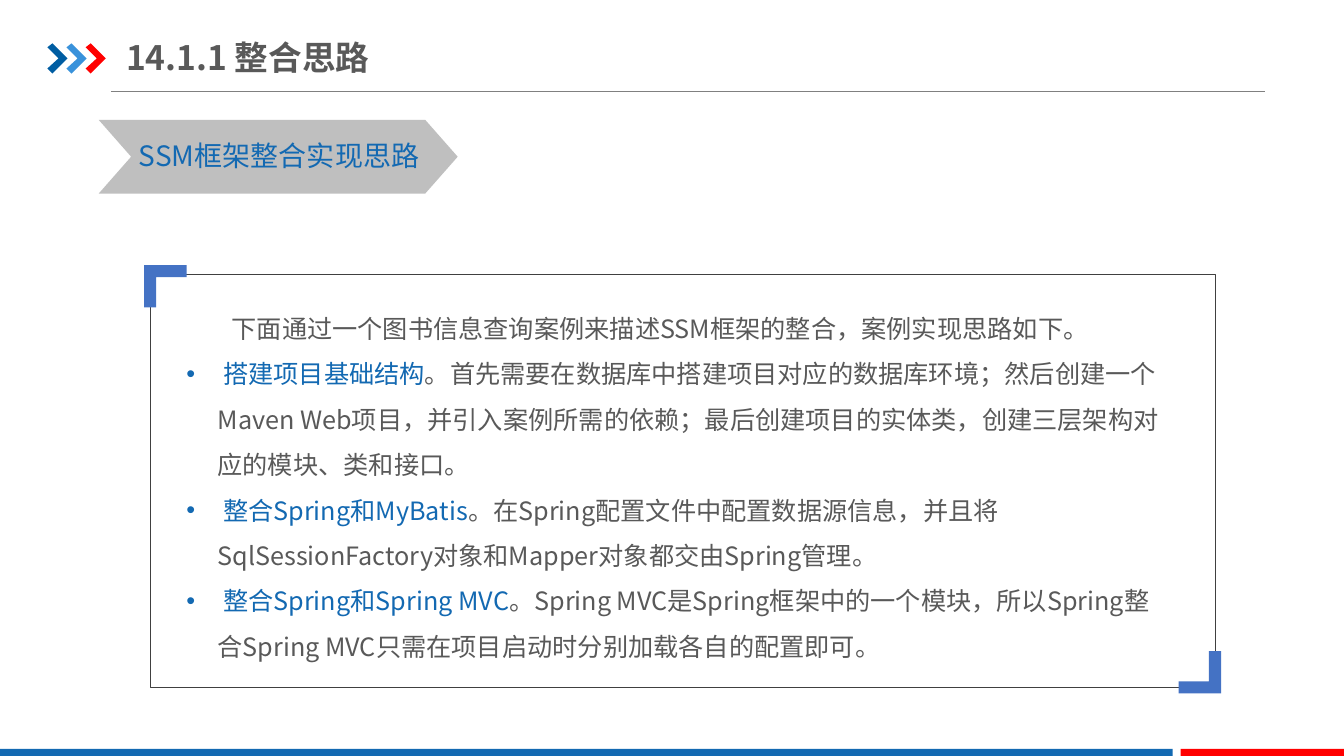
from lxml import etree
from pptx import Presentation
from pptx.dml.color import RGBColor
from pptx.enum.shapes import MSO_CONNECTOR as CONN, MSO_SHAPE as SHAPE
from pptx.enum.text import MSO_ANCHOR as ANCHOR
from pptx.oxml.ns import qn
from pptx.util import Pt

PX = 9144
FONT = "Noto Sans CJK SC"
BLUE = RGBColor(0x13, 0x69, 0xB2)
NAVY = RGBColor(0x00, 0x5D, 0xA2)
SKY = RGBColor(0x39, 0x92, 0xDB)
RED = RGBColor(0xFF, 0x00, 0x00)
CORNER = RGBColor(0x44, 0x72, 0xC4)
SILVER = RGBColor(0xBF, 0xBF, 0xBF)
GRAY = RGBColor(0x80, 0x80, 0x80)
DARK = RGBColor(0x40, 0x40, 0x40)
TEXT = RGBColor(0x59, 0x59, 0x59)

INTRO = "下面通过一个图书信息查询案例来描述SSM框架的整合，案例实现思路如下。"
STEPS = [
    ("搭建项目基础结构",
     "。首先需要在数据库中搭建项目对应的数据库环境；然后创建一个Maven Web项目，"
     "并引入案例所需的依赖；最后创建项目的实体类，创建三层架构对应的模块、类和接口。"),
    ("整合Spring和MyBatis",
     "。在Spring配置文件中配置数据源信息，并且将SqlSessionFactory对象和Mapper对象都交由Spring管理。"),
    ("整合Spring和Spring MVC",
     "。Spring MVC是Spring框架中的一个模块，所以Spring整合Spring MVC只需在项目启动时分别加载各自的配置即可。"),
]


def emu(*lengths):
    return [n * PX for n in lengths]


def paint(sp, fill=None, line=None, width=0.25):
    sp.shadow.inherit = False
    if fill is None:
        sp.fill.background()
    else:
        sp.fill.solid()
        sp.fill.fore_color.rgb = fill
    if line is None:
        sp.line.fill.background()
    else:
        sp.line.color.rgb = line
        sp.line.width = Pt(width)
    return sp


def add_box(s, kind, box, fill=None, line=None):
    return paint(s.shapes.add_shape(kind, *emu(*box)), fill, line)


def add_outline(s, points, fill):
    builder = s.shapes.build_freeform(*points[0], scale=PX)
    builder.add_line_segments(points[1:], close=True)
    paint(builder.convert_to_shape(), fill)


def add_text_frame(s, box, margins, anchor=ANCHOR.TOP):
    tf = s.shapes.add_textbox(*emu(*box)).text_frame
    across, down = emu(*margins)
    values = {"word_wrap": True, "vertical_anchor": anchor,
              "margin_left": across, "margin_right": across,
              "margin_top": down, "margin_bottom": down}
    for name, value in values.items():
        setattr(tf, name, value)
    return tf


def add_run(p, text, size, color, bold=False):
    r = p.add_run()
    r.text = text
    for name, value in {"size": Pt(size), "name": FONT, "bold": bold}.items():
        setattr(r.font, name, value)
    r.font.color.rgb = color
    etree.SubElement(r._r.get_or_add_rPr(), qn("a:ea")).set("typeface", FONT)


def set_indent(p, left, first, bullet=None):
    pPr = p._p.get_or_add_pPr()
    pPr.set("marL", str(left * PX))
    pPr.set("indent", str(first * PX))
    if bullet:
        etree.SubElement(pPr, qn("a:buFont")).set("typeface", "Arial")
        etree.SubElement(pPr, qn("a:buChar")).set("char", bullet)


def add_header(s, x, y, w, h):
    rule = s.shapes.add_connector(CONN.STRAIGHT, *emu(x + 63, y + h, x + w, y + h))
    rule.line.color.rgb = GRAY
    rule.line.width = Pt(0.5)
    etree.SubElement(rule._element.spPr, qn("a:effectLst"))
    arrow = [(0, 4), (5, 0), (20, 15), (5, 30), (0, 25), (11, 15)]
    for i, color in enumerate((NAVY, SKY, RED)):
        add_outline(s, [(x + 19 * i + dx, y + 14 + dy) for dx, dy in arrow], color)
    tf = add_text_frame(s, (x + 78, y, 299, 55), (0, 7), ANCHOR.MIDDLE)
    add_run(tf.paragraphs[0], "14.1.1 整合思路", 24, TEXT, True)


def add_footer(s, x, y, w, h):
    split, gap = 1163, 8
    add_box(s, SHAPE.RECTANGLE, (x, y, split, h), BLUE)
    add_box(s, SHAPE.RECTANGLE, (x + split + gap, y, w - split - gap, h), RED)


def add_topic(s, x, y, w, h):
    chevron = add_box(s, SHAPE.CHEVRON, (x, y, w, h), SILVER)
    chevron.adjustments[0] = 0.44
    tf = add_text_frame(s, (x + 30, y + 14, 338, 44), (10, 5))
    add_run(tf.paragraphs[0], "SSM框架整合实现思路", 20, BLUE)


def add_panel(s, x, y, w, h):
    tf = add_text_frame(s, (x + 26, y + 19, 994, 329), (10, 5))
    p = tf.paragraphs[0]
    p.line_spacing = 1.5
    set_indent(p, 0, 45)
    add_run(p, INTRO, 18, TEXT)
    for lead, detail in STEPS:
        p = tf.add_paragraph()
        p.line_spacing = 1.5
        set_indent(p, 31, -31, "•")
        add_run(p, " " + lead, 18, BLUE)
        add_run(p, detail, 18, TEXT)
    add_box(s, SHAPE.RECTANGLE, (x, y, w, h), line=DARK)
    bracket = [(0, 0), (42, 0), (42, 12), (12, 12), (12, 42), (0, 42)]
    for cx, cy, d in ((x - 6, y - 9, 1), (x + w + 6, y + h + 6, -1)):
        add_outline(s, [(cx + d * dx, cy + d * dy) for dx, dy in bracket], CORNER)


def main():
    prs = Presentation()
    prs.slide_width, prs.slide_height = emu(1333, 750)
    s = prs.slides.add_slide(prs.slide_layouts[6])
    add_header(s, 47, 29, 1208, 62)
    add_footer(s, 0, 743, 1333, 7)
    add_topic(s, 98, 119, 356, 73)
    add_panel(s, 149, 272, 1056, 410)
    prs.save("out.pptx")


if __name__ == "__main__":
    main()
